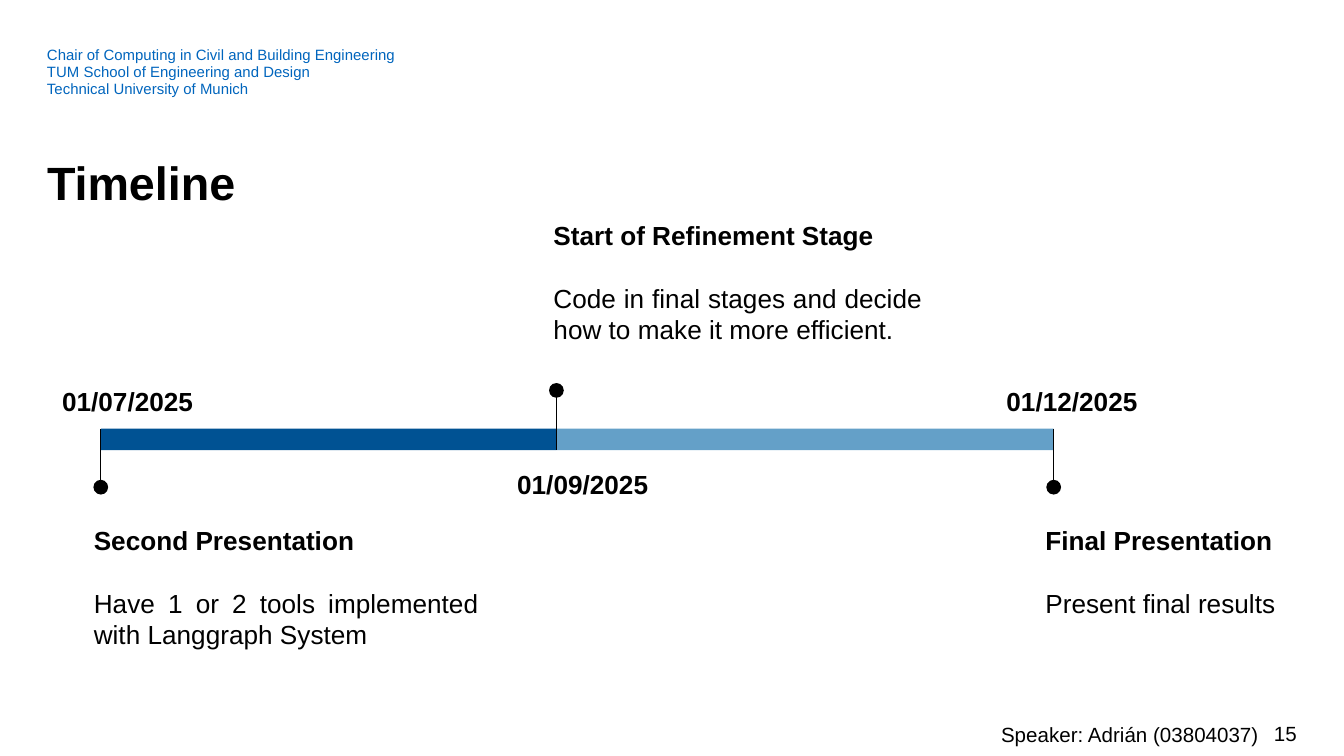
from dataclasses import dataclass

from lxml import etree
from pptx import Presentation
from pptx.dml.color import RGBColor
from pptx.enum import shapes, text
from pptx.oxml import ns
from pptx.util import Inches, Pt

BLACK = RGBColor(0x00, 0x00, 0x00)
HEADER_BLUE = RGBColor(0x00, 0x65, 0xBD)
DARK_BLUE = RGBColor(0x00, 0x52, 0x93)
LIGHT_BLUE = RGBColor(0x64, 0xA0, 0xC8)

FONT = "Arial"
LEFT, CENTER = text.PP_ALIGN.LEFT, text.PP_ALIGN.CENTER
RIGHT, JUSTIFY = text.PP_ALIGN.RIGHT, text.PP_ALIGN.JUSTIFY

BAR_TOP, BAR_HEIGHT = 3.19, 0.16
DOT_SIZE = 0.11

Box = tuple[float, float, float, float]


@dataclass
class Line:
    """One paragraph of a text frame."""
    wording: str
    size: float = 14
    bold: bool = False
    color: RGBColor = BLACK
    align: text.PP_ALIGN = LEFT
    spacing: float = 1.0
    before: float = 0


@dataclass
class Milestone:
    x: float
    stem_start: float
    stem_end: float
    dot_top: float
    date: str
    date_box: Box
    heading: str
    detail: str
    detail_box: Box
    date_align: text.PP_ALIGN = LEFT
    detail_align: text.PP_ALIGN = LEFT


@dataclass
class Phase:
    start: float
    end: float
    color: RGBColor


MILESTONES = [
    Milestone(0.75, 3.62, 3.19, 3.57, "01/07/2025", (0.31, 2.73, 1.28, 0.45),
              "Second Presentation",
              "Have 1 or 2 tools implemented with Langgraph System",
              (0.6, 3.8, 3.06, 1.14), CENTER, JUSTIFY),
    Milestone(4.14, 2.91, 3.35, 2.85, "01/09/2025", (3.75, 3.35, 1.23, 0.45),
              "Start of Refinement Stage",
              "Code in final stages and decide how to make it more efficient.",
              (4.02, 1.53, 2.94, 1.14), LEFT, JUSTIFY),
    Milestone(7.84, 3.62, 3.19, 3.57, "01/12/2025", (7.39, 2.73, 1.25, 0.45),
              "Final Presentation", "Present final results",
              (7.68, 3.8, 2.32, 1.14)),
]
START, REFINEMENT, FINISH = (milestone.x for milestone in MILESTONES)
PHASES = [Phase(START, REFINEMENT, DARK_BLUE), Phase(REFINEMENT, FINISH, LIGHT_BLUE)]


def fill_frame(frame, lines: list[Line], inset_x: float, inset_y: float,
               anchor=text.MSO_ANCHOR.TOP) -> None:
    frame.word_wrap = True
    frame.auto_size = text.MSO_AUTO_SIZE.NONE
    frame.vertical_anchor = anchor
    frame.margin_left = frame.margin_right = Inches(inset_x)
    frame.margin_top = frame.margin_bottom = Inches(inset_y)
    for index, line in enumerate(lines):
        paragraph = frame.add_paragraph() if index else frame.paragraphs[0]
        paragraph.alignment = line.align
        paragraph.line_spacing = line.spacing
        if line.before:
            paragraph.space_before = Pt(line.before)
        run = paragraph.add_run()
        run.text = line.wording
        run.font.name = FONT
        run.font.size = Pt(line.size)
        run.font.bold = line.bold
        run.font.color.rgb = line.color


def add_text(slide, box: Box, lines: list[Line], inset_x: float = 0.1,
             inset_y: float = 0.1, anchor=text.MSO_ANCHOR.TOP) -> None:
    textbox = slide.shapes.add_textbox(*map(Inches, box))
    fill_frame(textbox.text_frame, lines, inset_x, inset_y, anchor)


def add_filled(slide, kind: shapes.MSO_SHAPE, box: Box, color: RGBColor) -> None:
    shape = slide.shapes.add_shape(kind, *map(Inches, box))
    shape.shadow.inherit = False
    shape.fill.solid()
    shape.fill.fore_color.rgb = color
    shape.line.fill.background()


def add_stem(slide, x: float, start: float, end: float) -> None:
    stem = slide.shapes.add_connector(
        shapes.MSO_CONNECTOR.STRAIGHT, Inches(x), Inches(start), Inches(x), Inches(end))
    stem.line.color.rgb = BLACK
    stem.line.width = Pt(0.75)
    etree.SubElement(stem._element.spPr, ns.qn("a:effectLst"))


def add_milestone(slide, item: Milestone) -> None:
    add_stem(slide, item.x, item.stem_start, item.stem_end)
    dot = (item.x - DOT_SIZE / 2, item.dot_top, DOT_SIZE, DOT_SIZE)
    add_filled(slide, shapes.MSO_SHAPE.OVAL, dot, BLACK)
    add_text(slide, item.date_box,
             [Line(item.date, bold=True, align=item.date_align, spacing=1.15)])
    add_text(slide, item.detail_box, [
        Line(item.heading, bold=True, align=item.detail_align),
        Line(item.detail, align=item.detail_align, before=17),
    ])


def main() -> None:
    deck = Presentation()
    deck.slide_width = Inches(10)
    deck.slide_height = deck.slide_width * 9 // 16
    slide = deck.slides.add_slide(deck.slide_layouts.get_by_name("Title Only"))

    title = slide.shapes.title
    title.left, title.top = Inches(0.35), Inches(1.03)
    title.width, title.height = Inches(9.31), Inches(0.42)
    fill_frame(title.text_frame, [Line("Timeline", 25, True, spacing=1.28)], 0, 0)

    affiliation = ["Chair of Computing in Civil and Building Engineering",
                   "TUM School of Engineering and Design",
                   "Technical University of Munich"]
    add_text(slide, (0.35, 0.35, 7.83, 0.38),
             [Line(name, 8, color=HEADER_BLUE, spacing=0.94) for name in affiliation], 0, 0)

    for phase in PHASES:
        add_filled(slide, shapes.MSO_SHAPE.RECTANGLE,
                   (phase.start, BAR_TOP, phase.end - phase.start, BAR_HEIGHT), phase.color)
    for milestone in MILESTONES:
        add_milestone(slide, milestone)

    add_text(slide, (7.35, 5.27, 2.31, 0.35), [Line("Speaker: Adrián (03804037)", 11)])
    add_text(slide, (7.41, 5.31, 2.24, 0.3), [Line("15", 11, align=RIGHT)],
             0, 0.05, text.MSO_ANCHOR.MIDDLE)
    deck.save("out.pptx")


if __name__ == "__main__":
    main()
